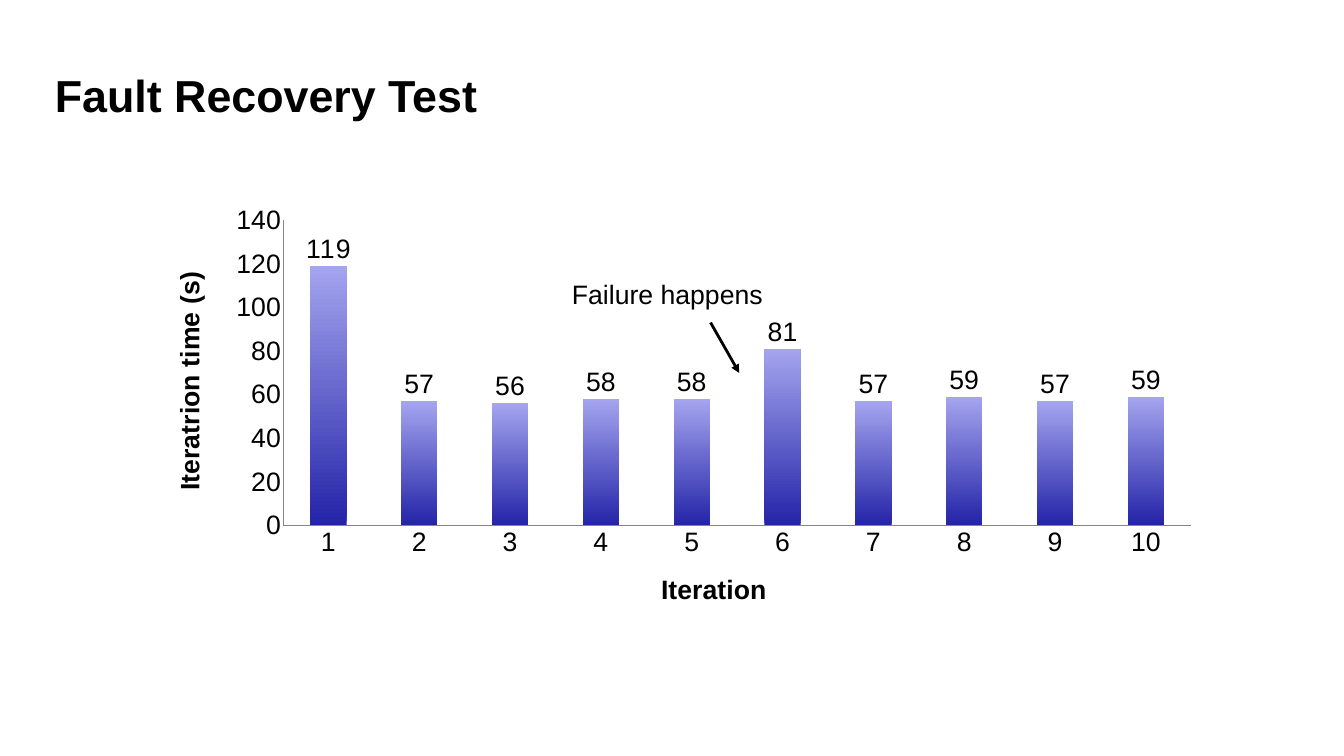
import dataclasses
import pptx
import pptx.util
import pptx.chart.data
import pptx.dml.color
import pptx.enum.chart
import pptx.enum.shapes
import pptx.enum.text
import pptx.oxml
import pptx.oxml.ns

Inches = pptx.util.Inches
Pt = pptx.util.Pt
RGB = pptx.dml.color.RGBColor.from_string


@dataclasses.dataclass(frozen=True)
class Theme:
    font: str = "Arial"
    ink: str = "000000"
    axis: str = "868686"
    bar_bottom: str = "2424A8"
    bar_top: str = "A4A4EF"
    title_size: int = 64
    body_size: int = 38


THEME = Theme()
WIDTH, HEIGHT = 26.67, 15

TITLE = "Fault Recovery Test"
ANNOTATION = "Failure happens"
CATEGORY_TITLE = "Iteration"
VALUE_TITLE = "Iteratrion time (s)"
ITERATION_TIMES = [119, 57, 56, 58, 58, 81, 57, 59, 57, 59]

TITLE_BOX = (1.03, 1.01, 24.49, 1.74)
CHART_BOX = (1.41, 3.25, 23.11, 9.94)
ANNOTATION_BOX = (11.11, 5.4, 4.3, 0.88)
ARROW = (14.1, 6.4, 14.67, 7.4)
PLOT_SHARES = {"x": 0.182, "y": 0.113, "w": 0.78, "h": 0.609}


def style_font(font, size=THEME.body_size, bold=False):
    font.name = THEME.font
    font.size = Pt(size)
    font.bold = bold
    font.color.rgb = RGB(THEME.ink)


def write_text(text_frame, text, size=THEME.body_size, bold=False, margins=None, anchor=None, wrap=None):
    paragraph = text_frame.paragraphs[0]
    paragraph.alignment = pptx.enum.text.PP_ALIGN.LEFT
    run = paragraph.add_run()
    run.text = text
    style_font(run.font, size, bold)
    if margins:
        horizontal, vertical = map(Inches, margins)
        text_frame.margin_left = text_frame.margin_right = horizontal
        text_frame.margin_top = text_frame.margin_bottom = vertical
    if anchor is not None:
        text_frame.vertical_anchor = anchor
    if wrap is not None:
        text_frame.word_wrap = wrap


def add_title(slide):
    title = slide.shapes.title
    title.left, title.top, title.width, title.height = map(Inches, TITLE_BOX)
    write_text(title.text_frame, TITLE, size=THEME.title_size, bold=True, margins=(0.06, 0.06),
               anchor=pptx.enum.text.MSO_ANCHOR.MIDDLE, wrap=True)


def style_axis(axis, title):
    axis.has_major_gridlines = False
    axis.major_tick_mark = axis.minor_tick_mark = pptx.enum.chart.XL_TICK_MARK.NONE
    axis.format.line.color.rgb = RGB(THEME.axis)
    axis.format.line.width = Pt(0.75)
    style_font(axis.tick_labels.font)
    axis.has_title = True
    paragraph = axis.axis_title.text_frame.paragraphs[0]
    run = paragraph.add_run()
    run.text = title
    style_font(run.font, bold=True)


def fix_plot_area(chart):
    qualified = pptx.oxml.ns.qn
    plot_area = chart.plots[0]._element.getparent()
    for old_layout in plot_area.findall(qualified("c:layout")):
        plot_area.remove(old_layout)
    settings = {"layoutTarget": "inner", "xMode": "edge", "yMode": "edge", **PLOT_SHARES}
    children = "".join(f'<c:{name} val="{value}"/>' for name, value in settings.items())
    plot_area.insert(0, pptx.oxml.parse_xml(
        f'<c:layout {pptx.oxml.ns.nsdecls("c")}><c:manualLayout>{children}</c:manualLayout></c:layout>'))


def add_time_chart(slide):
    data = pptx.chart.data.CategoryChartData()
    data.categories = [str(number) for number in range(1, len(ITERATION_TIMES) + 1)]
    data.add_series("Series 1", ITERATION_TIMES)
    chart = slide.shapes.add_chart(pptx.enum.chart.XL_CHART_TYPE.COLUMN_CLUSTERED,
                                   *map(Inches, CHART_BOX), data).chart
    chart.has_title = chart.has_legend = False
    style_font(chart.font)
    style_axis(chart.category_axis, CATEGORY_TITLE)
    style_axis(chart.value_axis, VALUE_TITLE)
    chart.value_axis.minimum_scale = 0
    chart.value_axis.maximum_scale = 140
    chart.value_axis.major_unit = 20

    plot = chart.plots[0]
    plot.gap_width = 150
    plot.vary_by_categories = False
    plot.has_data_labels = True
    labels = plot.data_labels
    labels.show_value = True
    labels.number_format = "#,##0"
    labels.number_format_is_linked = False
    labels.position = pptx.enum.chart.XL_LABEL_POSITION.OUTSIDE_END
    style_font(labels.font)

    fill = plot.series[0].format.fill
    fill.gradient()
    fill.gradient_angle = 90
    for stop, position, color in zip(fill.gradient_stops, (0, 1), (THEME.bar_bottom, THEME.bar_top)):
        stop.position = position
        stop.color.rgb = RGB(color)
    fix_plot_area(chart)


def add_arrow(slide):
    arrow = slide.shapes.add_connector(pptx.enum.shapes.MSO_CONNECTOR.STRAIGHT, *map(Inches, ARROW))
    arrow.line.color.rgb = RGB(THEME.ink)
    arrow.line.width = Pt(4)
    namespace = pptx.oxml.ns.nsdecls("a")
    arrow.line._get_or_add_ln().append(pptx.oxml.parse_xml(f'<a:tailEnd {namespace} type="triangle"/>'))
    arrow._element.spPr.append(pptx.oxml.parse_xml(f"<a:effectLst {namespace}/>"))


def add_annotation(slide):
    text_frame = slide.shapes.add_textbox(*map(Inches, ANNOTATION_BOX)).text_frame
    write_text(text_frame, ANNOTATION, margins=(0.24, 0.12), wrap=False)
    text_frame.auto_size = pptx.enum.text.MSO_AUTO_SIZE.SHAPE_TO_FIT_TEXT


def main():
    presentation = pptx.Presentation()
    presentation.slide_width, presentation.slide_height = Inches(WIDTH), Inches(HEIGHT)
    slide = presentation.slides.add_slide(presentation.slide_layouts.get_by_name("Title Only"))
    add_title(slide)
    add_time_chart(slide)
    add_arrow(slide)
    add_annotation(slide)
    presentation.save("out.pptx")


if __name__ == "__main__":
    main()
